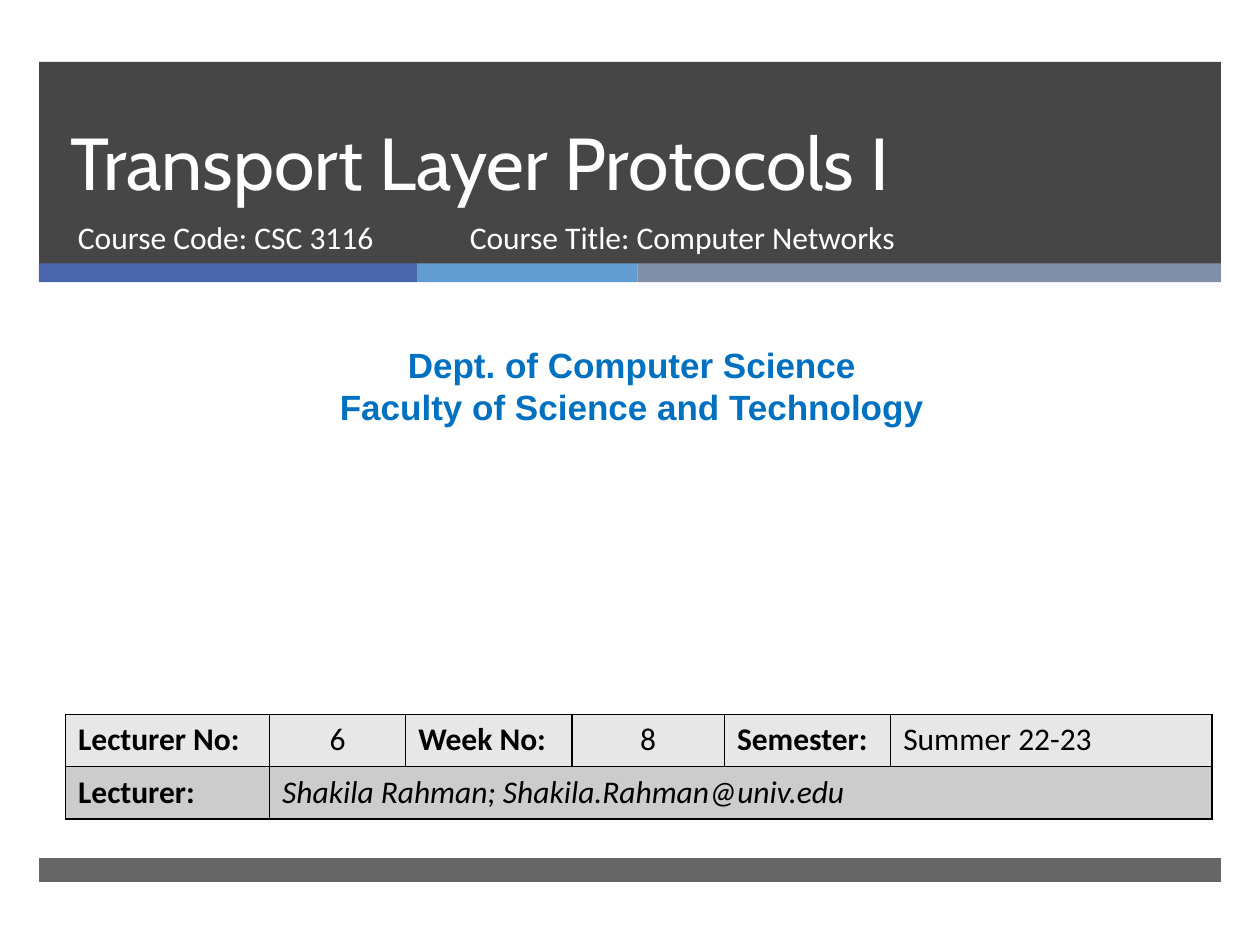
from itertools import accumulate

from lxml.etree import SubElement
from pptx import Presentation
from pptx.dml.color import RGBColor
from pptx.enum.shapes import MSO_SHAPE as Shape
from pptx.enum.text import MSO_ANCHOR as Anchor, PP_ALIGN as Align
from pptx.oxml import parse_xml
from pptx.oxml.ns import nsdecls, qn
from pptx.util import Inches, Pt

COLORS = {
    "dark": "262626", "blue": "4A66AC", "sky": "629DD1", "slate": "7F8FA9",
    "white": "FFFFFF", "black": "000000", "department": "0070C0",
    "light_row": "E7E7E7", "gray_row": "CCCCCC",
}
BODY = {"name": "Calibri", "size": Pt(18)}
LABEL = {**BODY, "bold": True}
VALUE = {**BODY, "bold": False}


def color(name):
    """Return the named color."""
    return RGBColor.from_string(COLORS[name])


def write(frame, lines, font, color_name, align=Align.LEFT):
    """Write one formatted paragraph per line and return the paragraphs."""
    frame.word_wrap = True
    for index, line in enumerate(lines):
        paragraph = frame.add_paragraph() if index else frame.paragraphs[0]
        paragraph.alignment = align
        run = paragraph.add_run()
        run.text = line
        run.font.color.rgb = color(color_name)
        for attribute, value in font.items():
            setattr(run.font, attribute, value)
    return frame.paragraphs


def add_band(slide, left, top, width, height, color_name, opacity=100):
    """Add a plain filled band, optionally translucent."""
    band = slide.shapes.add_shape(
        Shape.RECTANGLE, Inches(left), Inches(top), Inches(width), Inches(height))
    band.shadow.inherit = False
    band.line.fill.background()
    band.fill.solid()
    band.fill.fore_color.rgb = color(color_name)
    if opacity < 100:
        fill_color = band.fill._xPr.find(".//" + qn("a:srgbClr"))
        SubElement(fill_color, qn("a:alpha"), val=str(opacity * 1000))


def add_text(slide, left, top, width, height, lines, font, color_name, align=Align.LEFT):
    """Add a wrapping text box."""
    box = slide.shapes.add_textbox(
        Inches(left), Inches(top), Inches(width), Inches(height))
    write(box.text_frame, lines, font, color_name, align)


def set_title(slide, text):
    """Place the title in front of the header band."""
    title = slide.shapes.title
    position = {"left": 0.46, "top": 0.49, "width": 8.54, "height": 1.19}
    for attribute, value in position.items():
        setattr(title, attribute, Inches(value))
    title.text_frame.vertical_anchor = Anchor.BOTTOM
    font = {"name": "Cabin", "size": Pt(42)}
    write(title.text_frame, [text], font, "white")[0].line_spacing = Pt(46)
    slide.shapes._spTree.append(title._element)


def style_cell(cell, fill_name):
    """Fill a cell and draw thin borders on its four sides."""
    cell.fill.solid()
    cell.fill.fore_color.rgb = color(fill_name)
    properties = cell._tc.get_or_add_tcPr()
    for index, side in enumerate("LRTB"):
        properties.insert(index, parse_xml(
            f'<a:ln{side} {nsdecls("a")} w="12700"><a:solidFill>'
            f'<a:srgbClr val="{COLORS["black"]}"/></a:solidFill></a:ln{side}>'))


def add_lecture_table(slide):
    """Add the table of lecture details."""
    widths = [1.62, 1.08, 1.32, 1.21, 1.32, 2.55]
    rows = [
        [("Lecturer No:", LABEL, Align.LEFT), ("6", VALUE, Align.CENTER),
         ("Week No:", LABEL, Align.LEFT), ("8", VALUE, Align.CENTER),
         ("Semester:", LABEL, Align.LEFT), ("Summer 22-23", VALUE, Align.LEFT)],
        [("Lecturer:", LABEL, Align.LEFT),
         ("Shakila Rahman; Shakila.Rahman@univ.edu", {**VALUE, "italic": True}, Align.LEFT)],
    ]
    table = slide.shapes.add_table(
        len(rows), len(widths), Inches(0.52), Inches(5.67),
        Inches(sum(widths)), Inches(0.83)).table
    for column, width in zip(table.columns, widths):
        column.width = Inches(width)
    table.cell(1, 1).merge(table.cell(1, 5))
    for row, contents, fill_name in zip(table.rows, rows, ("light_row", "gray_row")):
        for cell in row.cells:
            style_cell(cell, fill_name)
        for cell, (text, font, align) in zip(row.cells, contents):
            write(cell.text_frame, [text], font, "black", align)


def main():
    """Build and save the lecture cover slide."""
    presentation = Presentation()
    presentation.slide_width, presentation.slide_height = Inches(10), Inches(7.5)
    slide = presentation.slides.add_slide(presentation.slide_layouts[5])

    add_band(slide, 0.31, 0.49, 9.38, 1.61, "dark", 85)
    stripe_widths = [3, 1.75, 4.63]
    stripe_lefts = accumulate(stripe_widths, initial=0.31)
    for left, width, name in zip(stripe_lefts, stripe_widths, ("blue", "sky", "slate")):
        add_band(slide, left, 2.09, width, 0.15, name)
    add_band(slide, 0.31, 6.81, 9.38, 0.19, "dark", 70)

    set_title(slide, "Transport Layer Protocols I")
    add_text(slide, 0.52, 1.68, 3.05, 0.53, ["Course Code: CSC 3116"], BODY, "white")
    add_text(slide, 0.08, 2.68, 9.87, 0.77,
             ["Dept. of Computer Science", "Faculty of Science and Technology"],
             {"name": "Arial", "size": Pt(20), "bold": True}, "department", Align.CENTER)
    add_text(slide, 3.63, 1.68, 4.55, 0.53,
             ["Course Title: Computer Networks"], BODY, "white")
    add_lecture_table(slide)
    presentation.save("out.pptx")


if __name__ == "__main__":
    main()
